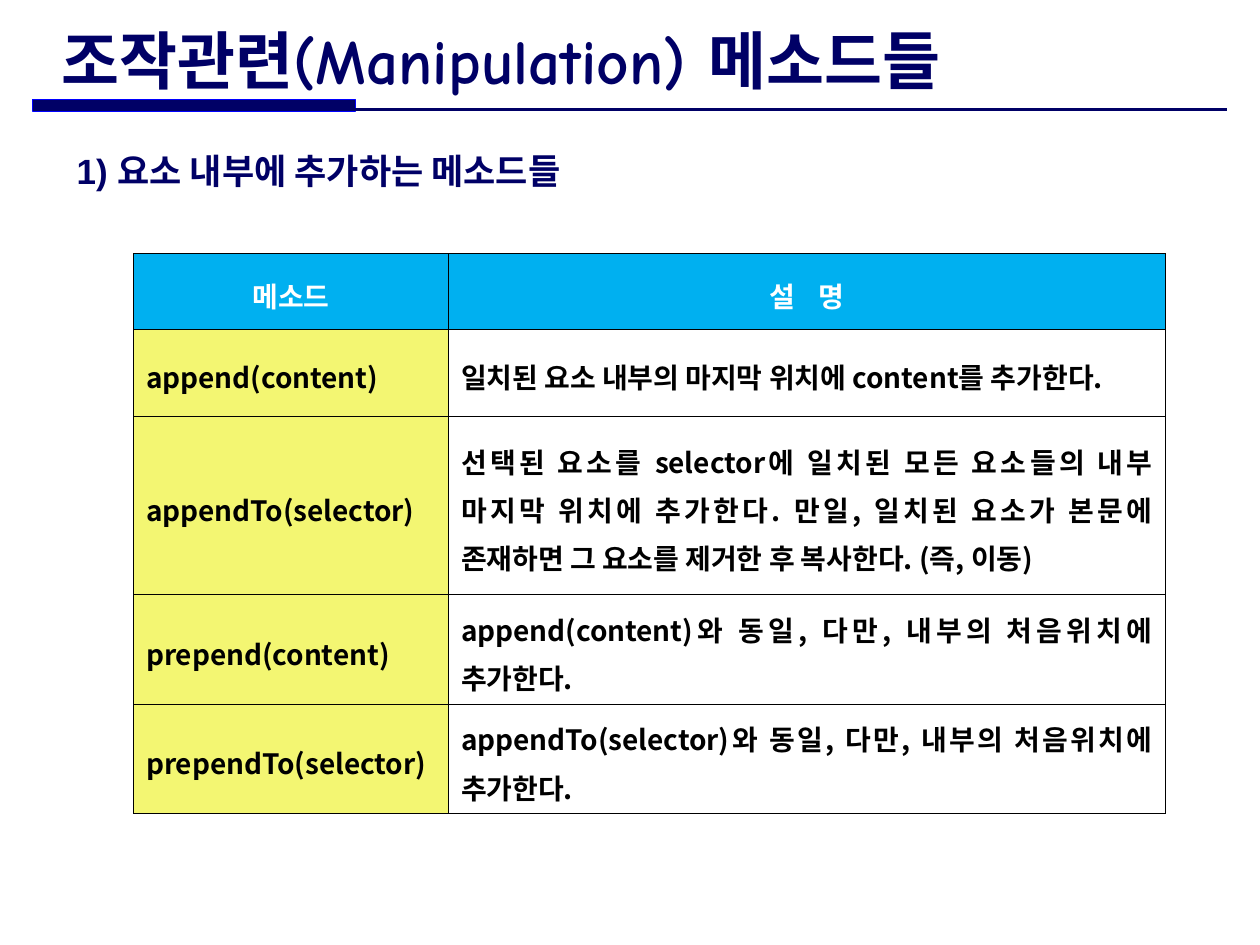
from lxml.etree import SubElement
from pptx import Presentation
from pptx.dml.color import RGBColor
from pptx.enum.shapes import MSO_CONNECTOR, MSO_SHAPE
from pptx.enum.text import MSO_ANCHOR, PP_ALIGN
from pptx.oxml.ns import qn
from pptx.util import Inches, Pt

NAVY, BLACK, WHITE = "000066", "000000", "FFFFFF"
HEADER_FILL, METHOD_FILL = "00B0F0", "F3F672"
KOREAN_FONT = "Noto Sans CJK KR"

TITLE = "조작관련(Manipulation) 메소드들"
HEADING = "1) 요소 내부에 추가하는 메소드들"
HEADERS = ("메소드", "설 명")
METHODS = [
    ("append(content)", "일치된 요소 내부의 마지막 위치에 content를 추가한다."),
    ("appendTo(selector)",
     "선택된 요소를 selector에 일치된 모든 요소들의 내부 마지막 위치에 추가한다. "
     "만일, 일치된 요소가 본문에 존재하면 그 요소를 제거한 후 복사한다. (즉, 이동)"),
    ("prepend(content)", "append(content)와 동일, 다만, 내부의 처음위치에 추가한다."),
    ("prependTo(selector)", "appendTo(selector)와 동일, 다만, 내부의 처음위치에 추가한다."),
]
COLUMN_WIDTHS = (2.5, 5.69)
ROW_HEIGHTS = (0.6, 0.69, 1.42, 0.61, 0.61)


def color(value):
    """Turn a hex string into a colour."""
    return RGBColor.from_string(value)


def write(frame, text, size, font, ink, align, spacing):
    """Write one bold run into the first paragraph of a frame."""
    paragraph = frame.paragraphs[0]
    paragraph.alignment = align
    paragraph.line_spacing = spacing
    run = paragraph.add_run()
    run.text = text
    run.font.size = Pt(size)
    run.font.bold = True
    run.font.name = font
    run.font.color.rgb = color(ink)
    SubElement(run.font._element, qn("a:ea"), typeface=KOREAN_FONT)
    return paragraph


def add_text(slide, place, anchor, *style):
    """Add a wrapping text box and return its paragraph."""
    frame = slide.shapes.add_textbox(*map(Inches, place)).text_frame
    frame.word_wrap = True
    frame.vertical_anchor = anchor
    return write(frame, *style)


def add_rule(slide):
    """Draw the bar and the thin line under the title."""
    bar = slide.shapes.add_shape(
        MSO_SHAPE.RECTANGLE, *map(Inches, (0.26, 0.79, 2.56, 0.09)))
    bar.shadow.inherit = False
    bar.fill.solid()
    bar.fill.fore_color.rgb = color(NAVY)
    bar.line.color.rgb = color("0000FF")
    bar.line.width = Pt(0.75)
    line = slide.shapes.add_connector(
        MSO_CONNECTOR.STRAIGHT, *map(Inches, (0.26, 0.87, 9.74, 0.87)))
    line.line.color.rgb = color(NAVY)
    line.line.width = Pt(1.5)
    SubElement(line._element.spPr, qn("a:effectLst"))


def add_borders(cell):
    """Outline a cell with thin black lines."""
    properties = cell._tc.get_or_add_tcPr()
    for side in ("lnL", "lnR", "lnT", "lnB"):
        border = SubElement(properties, qn(f"a:{side}"), w=str(Pt(0.28)))
        fill = SubElement(border, qn("a:solidFill"))
        SubElement(fill, qn("a:srgbClr"), val=BLACK)


def add_methods(slide):
    """Build the table of methods."""
    rows = [HEADERS, *METHODS]
    place = (1.06, 2.01, sum(COLUMN_WIDTHS), sum(ROW_HEIGHTS))
    table = slide.shapes.add_table(
        len(rows), len(HEADERS), *map(Inches, place)).table
    for column, width in zip(table.columns, COLUMN_WIDTHS):
        column.width = Inches(width)
    for row, height in zip(table.rows, ROW_HEIGHTS):
        row.height = Inches(height)
    for r, texts in enumerate(rows):
        for c, text in enumerate(texts):
            cell = table.cell(r, c)
            cell.vertical_anchor = MSO_ANCHOR.MIDDLE
            add_borders(cell)
            if r == 0 or c == 0:
                cell.fill.solid()
                cell.fill.fore_color.rgb = color(METHOD_FILL if r else HEADER_FILL)
            else:
                cell.fill.background()
            ink, align = (BLACK, PP_ALIGN.JUSTIFY) if r else (WHITE, PP_ALIGN.CENTER)
            write(cell.text_frame, text, 16, KOREAN_FONT, ink, align, 1.2)
    description = table.cell(0, 1).text_frame.paragraphs[0].runs[0]
    description.font._element.set("spc", "500")


def main():
    """Build and save the slide."""
    deck = Presentation()
    deck.slide_width, deck.slide_height = Inches(10), Inches(7.5)
    slide = deck.slides.add_slide(deck.slide_layouts[6])
    add_rule(slide)
    add_methods(slide)
    heading = add_text(slide, (0.51, 0.97, 8.99, 0.72), MSO_ANCHOR.TOP,
                       HEADING, 20, "Arial", NAVY, PP_ALIGN.JUSTIFY, 1.5)
    indent = heading._p.get_or_add_pPr()
    indent.set("marL", str(Inches(0.5)))
    indent.set("indent", str(Inches(-0.5)))
    add_text(slide, (0.39, 0.21, 8.18, 0.52), MSO_ANCHOR.MIDDLE,
             TITLE, 36, "Comic Neue", NAVY, PP_ALIGN.LEFT, 1.0)
    deck.save("out.pptx")


if __name__ == "__main__":
    main()
